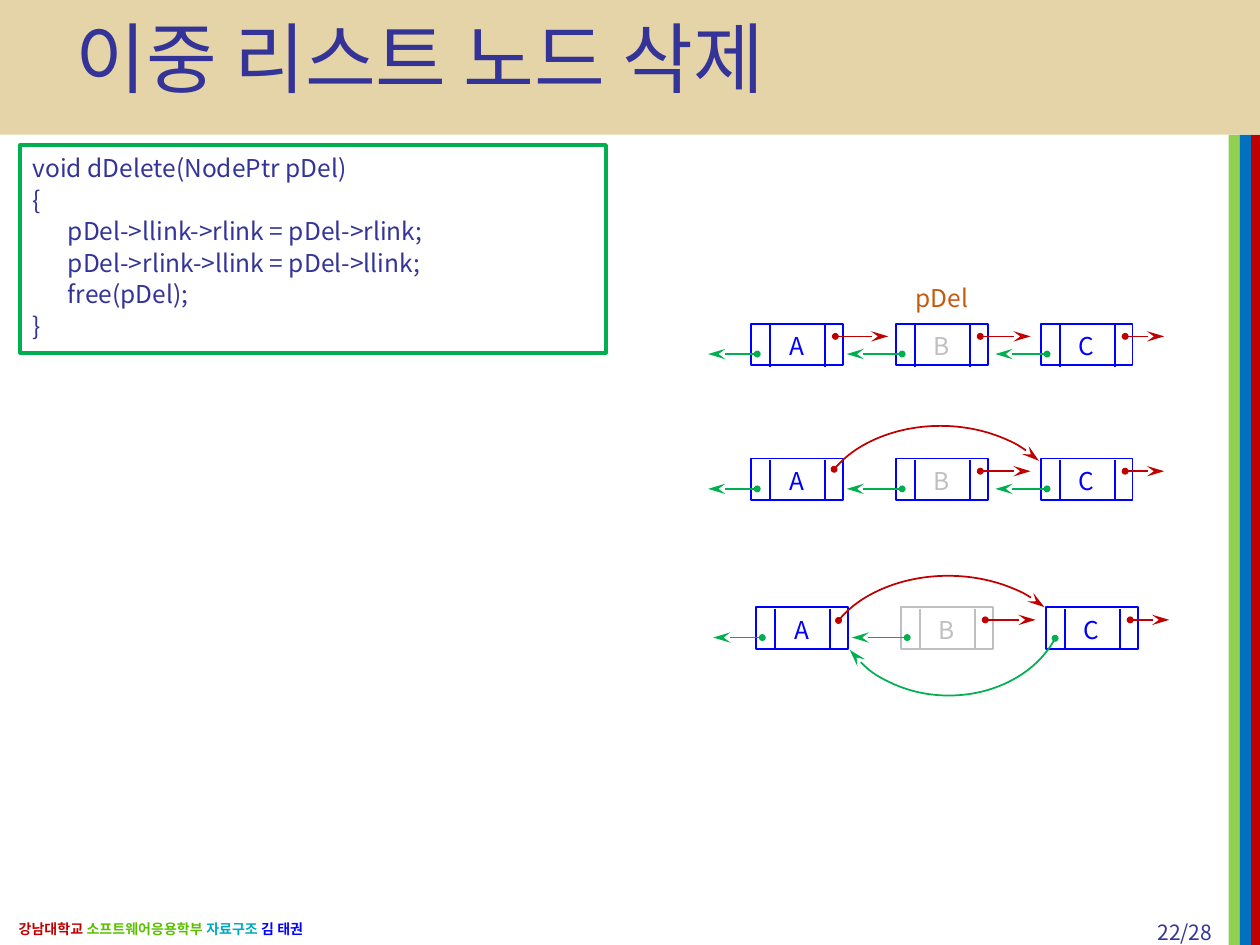
import pptx
import pptx.util
import pptx.dml.color
import pptx.enum.shapes
import pptx.enum.text
import pptx.oxml
import pptx.oxml.ns

Inches, Pt = pptx.util.Inches, pptx.util.Pt
RGB = pptx.dml.color.RGBColor.from_string
SHAPE = pptx.enum.shapes.MSO_SHAPE
ALIGN = pptx.enum.text.PP_ALIGN
ANCHOR = pptx.enum.text.MSO_ANCHOR
NS = pptx.oxml.ns.nsdecls("a")

THEME = {
    "font": "Noto Sans CJK KR",
    "band": "E5D4A7", "text": "333398", "frame": "00B050",
    "node": "0000FF", "removed": "BFBFBF", "label": "C55A11",
    "next": "C00000", "prev": "00B050",
    "stripes": ["92D050", "0070C0", "C00000"],
    "footer": ["C00000", "5BC000", "00A9C0", "0000FF"],
    "title_size": 44, "body_size": 14, "page_size": 12, "footer_size": 8,
}

prs = pptx.Presentation()
prs.slide_width, prs.slide_height = Inches(10), Inches(7.5)
s = prs.slides.add_slide(prs.slide_layouts[6])


def add_box(kind, box, fill=None, line=None, width=1, arrow=False):
    """Add a preset shape, or a connector when kind is None, with its line ends."""
    lengths = [Inches(v) for v in box]
    if kind is None:
        sp = s.shapes.add_connector(pptx.enum.shapes.MSO_CONNECTOR.STRAIGHT, *lengths)
    else:
        sp = s.shapes.add_shape(kind, *lengths)
        sp.shadow.inherit = False
        if fill:
            sp.fill.solid()
            sp.fill.fore_color.rgb = RGB(fill)
        else:
            sp.fill.background()
    if line:
        sp.line.color.rgb = RGB(line)
        sp.line.width = Pt(width)
    else:
        sp.line.fill.background()
    if arrow:
        ln = sp.line._get_or_add_ln()
        for end in ('headEnd {} type="oval" w="sm" len="sm"',
                    'tailEnd {} type="stealth" w="med" len="lg"'):
            ln.append(pptx.oxml.parse_xml("<a:" + end.format(NS) + "/>"))
    if kind is None:
        sp._element.spPr.append(pptx.oxml.parse_xml(f"<a:effectLst {NS}/>"))
    return sp


def add_text(sp, paragraphs, size, align=ALIGN.LEFT, anchor=ANCHOR.MIDDLE,
             spacing=None, inset=None, bold=None):
    """Fill a shape with paragraphs, each a list of (text, colour) runs."""
    tf = sp.text_frame
    settings = {"word_wrap": True, "vertical_anchor": anchor}
    if inset is not None:
        for side in ("left", "top", "right", "bottom"):
            settings["margin_" + side] = Inches(inset)
    for name, value in settings.items():
        setattr(tf, name, value)
    for i, runs in enumerate(paragraphs):
        p = tf.add_paragraph() if i else tf.paragraphs[0]
        p.alignment, p.line_spacing = align, spacing
        for text, color in runs:
            r = p.add_run()
            r.text = text
            for name, value in {"size": Pt(size), "name": THEME["font"], "bold": bold}.items():
                setattr(r.font, name, value)
            r.font.color.rgb = RGB(color)
            r._r.get_or_add_rPr().append(
                pptx.oxml.parse_xml(f'<a:ea {NS} typeface="{THEME["font"]}"/>'))


# Title band, side stripes and footer
add_box(SHAPE.RECTANGLE, (0, 0, 10, 1.07), THEME["band"])
for i, color in enumerate(THEME["stripes"]):
    add_box(SHAPE.RECTANGLE, (9.75 + i * 0.09, 1.07, 0.09, 6.43), color)

footer = ["강남대학교 ", "소프트웨어응용학부 ", "자료구조 ", "김 태권"]
add_text(add_box(SHAPE.RECTANGLE, (0.05, 7.25, 3.53, 0.25)),
         [zip(footer, THEME["footer"])], THEME["footer_size"], bold=True)
add_text(add_box(SHAPE.RECTANGLE, (0.5, 0, 9, 1)),
         [[("이중 리스트 노드 삭제", THEME["text"])]], THEME["title_size"], spacing=0.9)
add_text(add_box(SHAPE.RECTANGLE, (8.89, 7.25, 0.83, 0.25)),
         [[("22/28", THEME["text"])]], THEME["page_size"], ALIGN.RIGHT, ANCHOR.TOP)

# Code
code = [
    "void dDelete(NodePtr pDel)",
    "{",
    "\tpDel->llink->rlink = pDel->rlink;",
    "\tpDel->rlink->llink = pDel->llink;",
    "\tfree(pDel);",
    "}",
]
sp = add_box(SHAPE.RECTANGLE, (0.16, 1.15, 4.65, 1.65), line=THEME["frame"], width=2)
add_text(sp, [[(text, THEME["text"])] for text in code], THEME["body_size"],
         anchor=ANCHOR.TOP, spacing=Pt(18))
for p in sp.text_frame.paragraphs:
    p._p.get_or_add_pPr().append(pptx.oxml.parse_xml(
        f'<a:tabLst {NS}><a:tab pos="{Inches(0.28)}" algn="l"/></a:tabLst>'))

# Three list states: left, top, colour of node B, nodes with a next / prev arrow
states = [
    (5.96, 2.57, THEME["node"], "ABC", "ABC"),
    (5.96, 3.64, THEME["node"], "BC", "ABC"),
    (6.0, 4.82, THEME["removed"], "BC", "AB"),
]
arrow_ends = {"A": (1.09, -0.34), "B": (1.07, -0.39), "C": (0.98, -0.36)}
for left, top, b_line, has_next, has_prev in states:
    for i, (name, (next_end, prev_end)) in enumerate(arrow_ends.items()):
        x = left + i * 1.15
        outline = b_line if name == "B" else THEME["node"]
        ink = THEME["removed"] if name == "B" else THEME["node"]
        add_box(SHAPE.RECTANGLE, (x, top, 0.73, 0.33), line=outline)
        add_text(add_box(SHAPE.RECTANGLE, (x + 0.14, top + 0.01, 0.45, 0.33)),
                 [[(name, ink)]], THEME["body_size"], ALIGN.CENTER, inset=0)
        for dx in (0.15, 0.59):
            add_box(None, (x + dx, top + 0.01, x + dx, top + 0.34), line=outline)
        if name in has_next:
            add_box(None, (x + 0.67, top + 0.1, x + next_end, top + 0.1),
                    line=THEME["next"], arrow=True)
        if name in has_prev:
            add_box(None, (x + 0.05, top + 0.24, x + prev_end, top + 0.24),
                    line=THEME["prev"], arrow=True)

add_text(add_box(SHAPE.RECTANGLE, (7.01, 2.2, 0.93, 0.33)),
         [[("pDel", THEME["label"])]], THEME["body_size"], ALIGN.CENTER, inset=0)

# Curved links that bypass node B
bypasses = [
    ((6.48, 3.38, 1.97, 1.42), (122.04, 198.64), "next", 0),
    ((6.52, 4.57, 2.01, 1.42), (121.35, 197.38), "next", 0),
    ((6.61, 4.01, 1.84, 1.51), (119.76, 200.11), "prev", 180),
]
for box, angles, link, rotation in bypasses:
    sp = add_box(SHAPE.ARC, box, line=THEME[link], arrow=True)
    sp.rotation = rotation
    for i, angle in enumerate(angles):
        sp.adjustments[i] = angle

prs.save("out.pptx")
